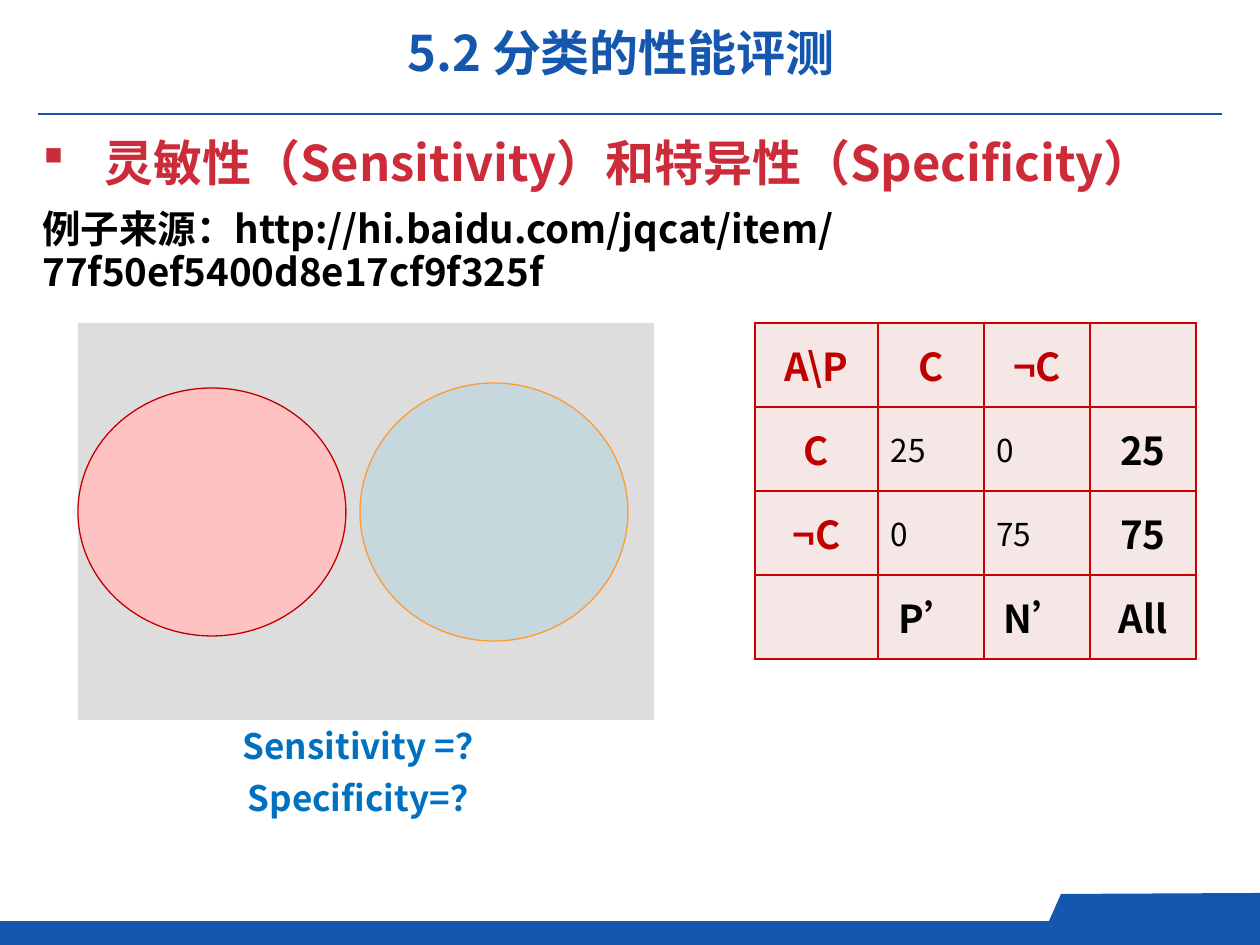
from dataclasses import dataclass

from lxml import etree
from pptx import Presentation
from pptx.dml.color import RGBColor
from pptx.enum.shapes import MSO_CONNECTOR, MSO_SHAPE
from pptx.enum.text import MSO_ANCHOR, MSO_AUTO_SIZE, PP_ALIGN
from pptx.oxml.ns import qn
from pptx.util import Emu, Pt

PX = 914400 // 126
LEFT, CENTER = PP_ALIGN.LEFT, PP_ALIGN.CENTER
TOP, MIDDLE = MSO_ANCHOR.TOP, MSO_ANCHOR.MIDDLE
RECTANGLE, OVAL = MSO_SHAPE.RECTANGLE, MSO_SHAPE.OVAL
BAR = MSO_SHAPE.FLOWCHART_PROCESS


@dataclass(frozen=True)
class Theme:
    font: str = "Noto Sans CJK SC"
    brand: str = "1557AE"
    heading: str = "CC2C3A"
    ink: str = "000000"
    question: str = "0070C0"
    label: str = "C00000"
    grid: str = "CC0000"
    cell: str = "F6E7E7"
    universe: str = "DDDDDD"
    positive: str = "FFC2C2"
    negative: str = "00B0F0"
    negative_edge: str = "FF9933"
    title_size: int = 28
    body_size: int = 22
    question_size: int = 20
    count_size: int = 18


THEME = Theme()


def px(*lengths):
    return [Emu(length * PX) for length in lengths]


def rgb(value):
    return RGBColor.from_string(value)


def set_format(target, values):
    for name, value in values.items():
        setattr(target, name, value)


def write(frame, lines, size, color, bold=True, anchor=TOP, **paragraph_format):
    set_format(frame, {"word_wrap": True, "vertical_anchor": anchor})
    for index, line in enumerate(lines):
        paragraph = frame.paragraphs[0] if index == 0 else frame.add_paragraph()
        set_format(paragraph, paragraph_format)
        run = paragraph.add_run()
        run.text = line
        set_format(run.font, {"name": THEME.font, "size": Pt(size), "bold": bold})
        run.font.color.rgb = rgb(color)
        east_asian = etree.SubElement(run.font._element, qn("a:ea"))
        east_asian.set("typeface", THEME.font)


def add_text(slide, box, lines, size, color, **text_format):
    frame = slide.shapes.add_textbox(*px(*box)).text_frame
    write(frame, lines, size, color, **text_format)
    return frame


def add_bullet(paragraph, indent):
    properties = paragraph._p.get_or_add_pPr()
    properties.set("marL", str(indent * PX))
    properties.set("indent", str(-indent * PX))
    etree.SubElement(properties, qn("a:buFont")).set("typeface", "Wingdings")
    etree.SubElement(properties, qn("a:buChar")).set("char", "§")


def paint(shape, fill, edge=None, alpha=None):
    shape.shadow.inherit = False
    shape.fill.solid()
    shape.fill.fore_color.rgb = rgb(fill)
    if alpha is not None:
        color = shape._element.spPr.find(qn("a:solidFill"))[0]
        etree.SubElement(color, qn("a:alpha")).set("val", str(alpha * 1000))
    if edge:
        shape.line.color.rgb = rgb(edge)
        shape.line.width = Pt(0.75)
    else:
        shape.line.fill.background()


def add_shape(slide, preset, box, fill, **look):
    paint(slide.shapes.add_shape(preset, *px(*box)), fill, **look)


def add_frame(slide):
    """Header rule and footer band."""
    add_shape(slide, BAR, (0, 921, 1260, 24), THEME.brand)
    tab = slide.shapes.build_freeform(1260, 939, scale=PX)
    tab.add_line_segments([(1260, 893), (1061, 894), (1041, 939)])
    paint(tab.convert_to_shape(), THEME.brand)
    rule = slide.shapes.add_connector(
        MSO_CONNECTOR.STRAIGHT, *px(38, 114, 1222, 114))
    rule.line.color.rgb = rgb(THEME.brand)
    rule.line.width = Pt(1.5)
    etree.SubElement(rule._element.spPr, qn("a:effectLst"))


def add_title(slide, text):
    title = slide.shapes.title
    set_format(title, dict(zip(("left", "top", "width", "height"),
                               px(115, 16, 1012, 72))))
    write(title.text_frame, [text], THEME.title_size, THEME.brand,
          anchor=MIDDLE, alignment=CENTER)
    title.text_frame.auto_size = MSO_AUTO_SIZE.NONE


def add_borders(cell):
    properties = cell._tc.get_or_add_tcPr()
    for position, side in enumerate(("a:lnL", "a:lnR", "a:lnT", "a:lnB")):
        border = etree.Element(qn(side), w=str(Pt(1)))
        fill = etree.SubElement(border, qn("a:solidFill"))
        etree.SubElement(fill, qn("a:srgbClr")).set("val", THEME.grid)
        properties.insert(position, border)


def add_confusion_matrix(slide, rows):
    widths, row_height = (123, 106, 106, 106), 84
    table = slide.shapes.add_table(
        len(rows), len(widths),
        *px(755, 323, sum(widths), row_height * len(rows))).table
    set_format(table, {"first_row": False, "horz_banding": False})
    for column, width in zip(table.columns, px(*widths)):
        column.width = width
    for r, row in enumerate(rows):
        table.rows[r].height = Emu(row_height * PX)
        for c, text in enumerate(row):
            cell = table.cell(r, c)
            cell.fill.solid()
            cell.fill.fore_color.rgb = rgb(THEME.cell)
            add_borders(cell)
            if not text:
                continue
            is_count = r in (1, 2) and c in (1, 2)
            is_label = r == 0 or c == 0
            write(cell.text_frame, [text],
                  THEME.count_size if is_count else THEME.body_size,
                  THEME.label if is_label else THEME.ink,
                  bold=not is_count, alignment=LEFT if is_count else CENTER)
            cell.vertical_anchor = MIDDLE


def add_venn(slide):
    add_shape(slide, RECTANGLE, (78, 323, 576, 397), THEME.universe)
    add_shape(slide, OVAL, (78, 388, 268, 248), THEME.positive, edge=THEME.label)
    add_shape(slide, OVAL, (360, 383, 268, 258), THEME.negative,
              edge=THEME.negative_edge, alpha=10)


def main():
    deck = Presentation()
    deck.slide_width, deck.slide_height = px(1260, 945)
    slide = deck.slides.add_slide(deck.slide_layouts[5])
    add_frame(slide)
    add_title(slide, "5.2 分类的性能评测")
    heading = add_text(
        slide, (30, 120, 1201, 78), ["灵敏性（Sensitivity）和特异性（Specificity）"],
        THEME.title_size, THEME.heading, anchor=MIDDLE, line_spacing=1.1)
    add_bullet(heading.paragraphs[0], 62)
    add_text(
        slide, (30, 203, 1181, 84),
        ["例子来源：http://hi.baidu.com/jqcat/item/77f50ef5400d8e17cf9f325f"],
        THEME.body_size, THEME.ink, line_spacing=0.93)
    add_text(
        slide, (146, 708, 441, 178), ["Sensitivity =？", "Specificity=？"],
        THEME.question_size, THEME.question, alignment=CENTER, line_spacing=1.24)
    add_confusion_matrix(slide, [
        ("A\\P", "C", "¬C", ""),
        ("C", "25", "0", "25"),
        ("¬C", "0", "75", "75"),
        ("", "P’", "N’", "All"),
    ])
    add_venn(slide)
    deck.save("out.pptx")


if __name__ == "__main__":
    main()
